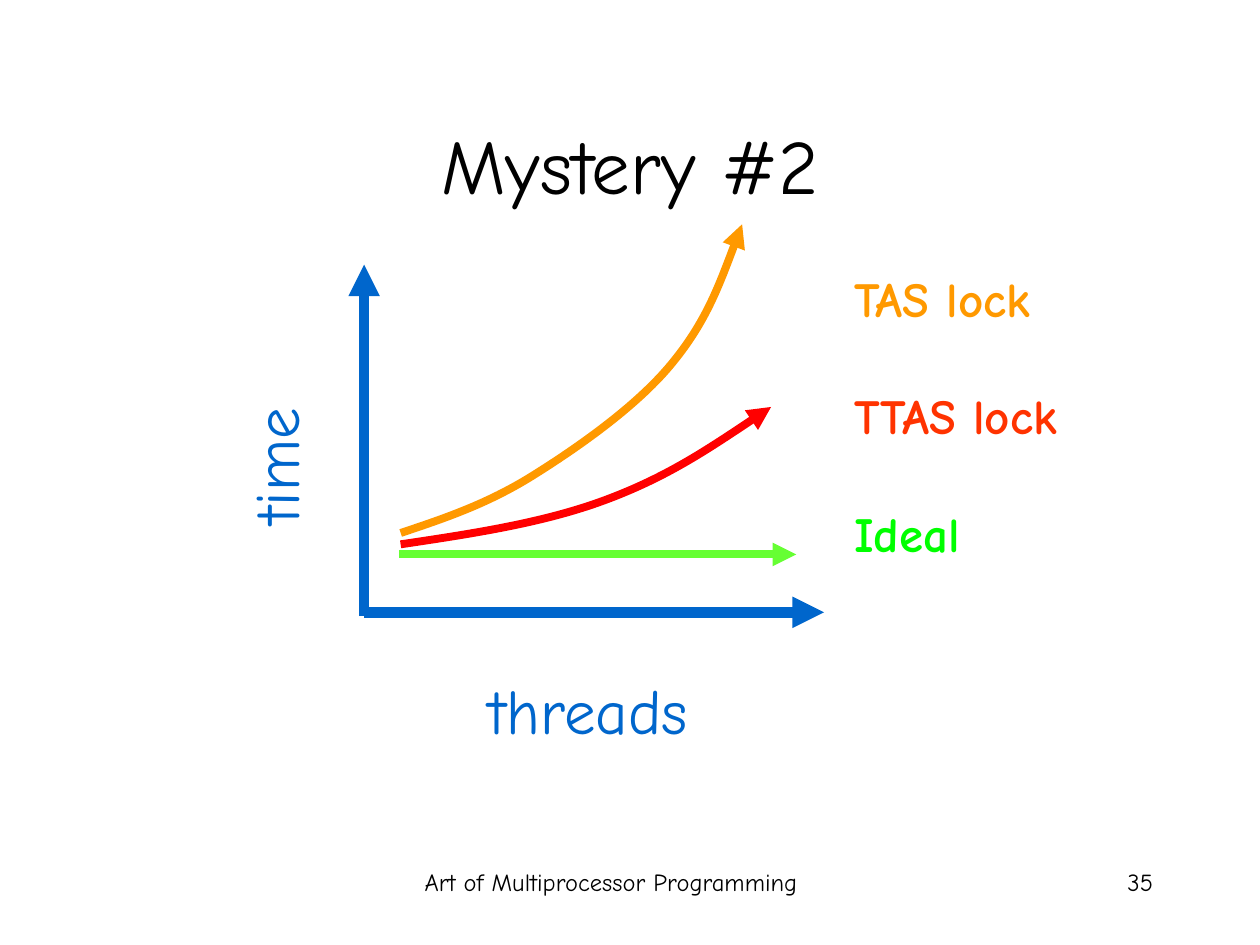
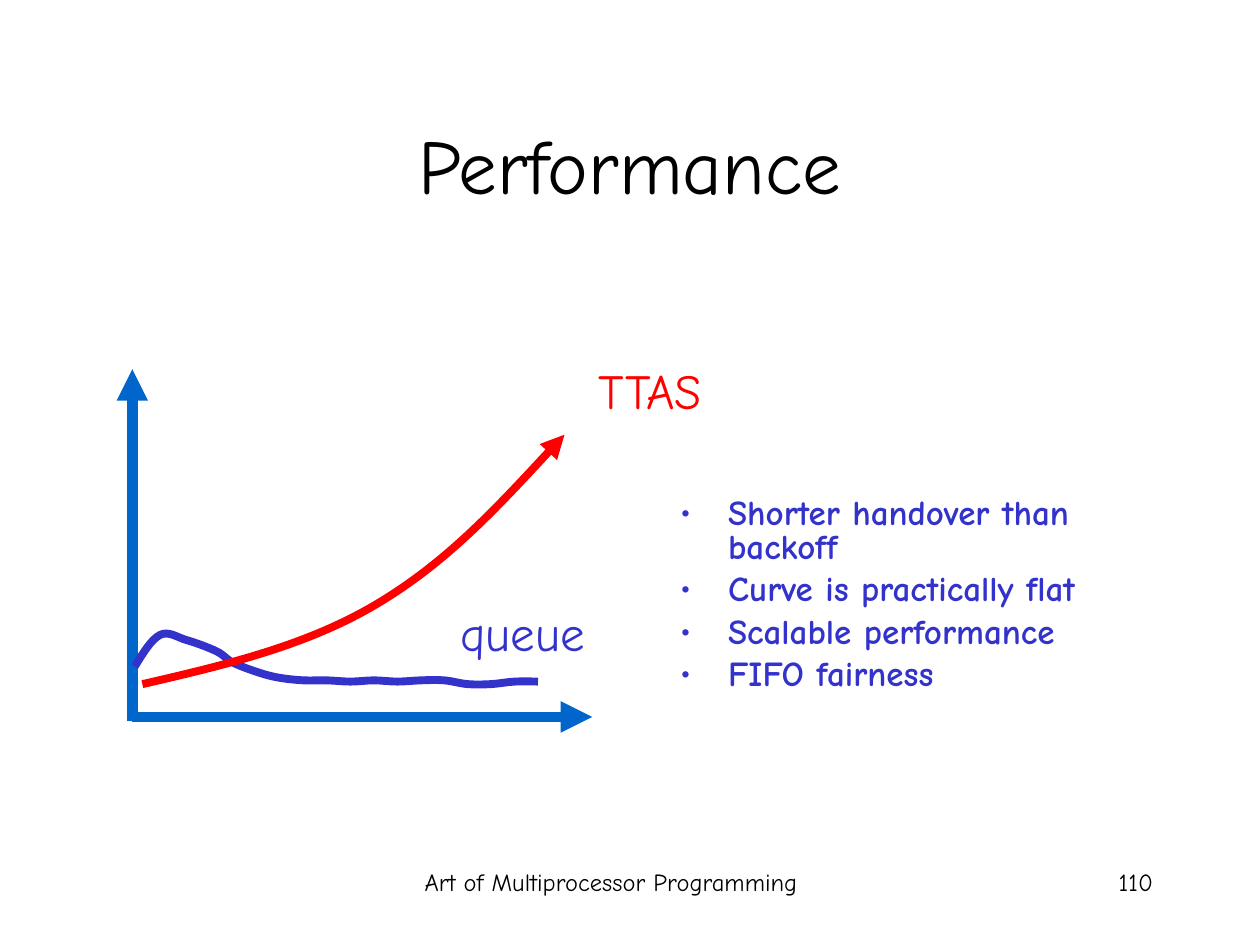
from pptx import Presentation
from pptx.dml.color import RGBColor
from pptx.enum.shapes import MSO_CONNECTOR
from pptx.enum.text import MSO_ANCHOR, PP_ALIGN
from pptx.oxml.ns import qn
from pptx.util import Inches, Pt
from lxml import etree

STRAIGHT = MSO_CONNECTOR.STRAIGHT
LEFT, CENTER, RIGHT = PP_ALIGN.LEFT, PP_ALIGN.CENTER, PP_ALIGN.RIGHT
TOP, MIDDLE = MSO_ANCHOR.TOP, MSO_ANCHOR.MIDDLE

BLACK = RGBColor(0x00, 0x00, 0x00)
AXIS_BLUE = RGBColor(0x00, 0x66, 0xCC)
INDIGO = RGBColor(0x33, 0x33, 0xCC)
ORANGE = RGBColor(0xFF, 0x99, 0x00)
RED = RGBColor(0xFF, 0x00, 0x00)
VERMILION = RGBColor(0xFF, 0x33, 0x00)
LIME = RGBColor(0x66, 0xFF, 0x33)
GREEN = RGBColor(0x00, 0xFF, 0x00)

FONT = "Comic Neue"
FOOTER = "Art of Multiprocessor Programming"
TITLE_SIZE, AXIS_LABEL_SIZE, LABEL_SIZE, BULLET_SIZE, FOOTER_SIZE = 44, 36, 28, 20, 14
AXIS_HEIGHT, AXIS_LENGTH, AXIS_OVERLAP = 2.76, 3.65, 0.03
AXIS_WEIGHT, CURVE_WEIGHT = 6, 4.5
LEGEND_GAP, BULLET_GAP = 33.6, 5
BULLET_INDENT = 0.38

TAS_KNOTS = [(3.18, 4.23), (4.22, 3.78), (5.32, 2.9), (5.89, 1.78)]
TTAS_KNOTS = [(3.18, 4.32), (4.8, 3.97), (6.12, 3.23)]
STEEP_TTAS_KNOTS = [(1.13, 5.43), (2.98, 4.8), (4.48, 3.45)]
QUEUE_HUMP = [
    (1.07, 5.29), (1.27, 5.04), (1.48, 5.08), (1.72, 5.17),
    (1.85, 5.26), (2.06, 5.34), (2.22, 5.38), (2.41, 5.4),
]
QUEUE_TAIL_END = 4.27
QUEUE_TAIL_HEIGHTS = [5.4, 5.41, 5.4, 5.41, 5.4, 5.4, 5.43, 5.43, 5.41, 5.41]

LEGEND = [("TAS lock", ORANGE), ("TTAS lock", VERMILION), ("Ideal", GREEN)]
BENEFITS = [
    "Shorter handover than backoff",
    "Curve is practically flat",
    "Scalable performance",
    "FIFO fairness",
]


def apply_format(target, values):
    for name, value in values.items():
        setattr(target, name, value)


def add_bullet(para, color):
    properties = para._p.get_or_add_pPr()
    indent = Inches(BULLET_INDENT)
    properties.set("marL", str(indent))
    properties.set("indent", str(-indent))
    bullet_color = etree.SubElement(properties, qn("a:buClr"))
    etree.SubElement(bullet_color, qn("a:srgbClr"), val=str(color))
    etree.SubElement(properties, qn("a:buFont"), typeface=FONT)
    etree.SubElement(properties, qn("a:buChar"), char="•")


def add_text(page, place, lines, size, bold=False, align=LEFT, anchor=TOP,
             wrap=True, gap=0, spacing=None, bullets=False):
    box = page.shapes.add_textbox(*map(Inches, place))
    frame = box.text_frame
    apply_format(frame, {"word_wrap": wrap, "vertical_anchor": anchor})
    for index, (text, color) in enumerate(lines):
        para = frame.add_paragraph() if index else frame.paragraphs[0]
        if bullets:
            add_bullet(para, color)
        apply_format(para, {
            "alignment": align,
            "line_spacing": spacing,
            "space_before": Pt(gap if index else 0),
        })
        span = para.add_run()
        span.text = text
        apply_format(span.font, {"name": FONT, "size": Pt(size), "bold": bold})
        span.font.color.rgb = color
    return box


def style_line(shape, color, weight, arrow):
    shape.line.color.rgb = color
    shape.line.width = Pt(weight)
    if arrow:
        outline = shape.element.spPr.find(qn("a:ln"))
        etree.SubElement(outline, qn("a:tailEnd"), type="triangle")


def add_arrow(page, start, end, color, weight):
    arrow = page.shapes.add_connector(STRAIGHT, *map(Inches, start + end))
    style_line(arrow, color, weight, True)
    etree.SubElement(arrow.element.spPr, qn("a:effectLst"))


def midpoint(first, second):
    return tuple((a + b) / 2 for a, b in zip(first, second))


def smooth_points(knots):
    handles = []
    for before, knot, after in zip(knots, knots[1:], knots[2:]):
        slope = [(b - a) / 6 for a, b in zip(before, after)]
        arriving = tuple(k - s for k, s in zip(knot, slope))
        leaving = tuple(k + s for k, s in zip(knot, slope))
        handles += [arriving, knot, leaving]
    first, last = knots[0], knots[-1]
    return [first, midpoint(first, handles[0]), *handles, midpoint(handles[-1], last), last]


def bend_segments(curve):
    outline = next(curve.element.iter(qn("a:path")))
    segments = outline.findall(qn("a:lnTo"))
    for first in range(0, len(segments), 3):
        bezier = etree.SubElement(outline, qn("a:cubicBezTo"))
        for segment in segments[first:first + 3]:
            bezier.append(segment[0])
            outline.remove(segment)


def add_curve(page, knots, color, arrow=True):
    points = [(Inches(x), Inches(y)) for x, y in smooth_points(knots)]
    builder = page.shapes.build_freeform(*points[0], scale=1.0)
    builder.add_line_segments(points[1:], close=False)
    curve = builder.convert_to_shape()
    bend_segments(curve)
    curve.shadow.inherit = False
    curve.fill.background()
    style_line(curve, color, CURVE_WEIGHT, arrow)


def queue_knots():
    tail_start = QUEUE_HUMP[-1][0]
    step = (QUEUE_TAIL_END - tail_start) / len(QUEUE_TAIL_HEIGHTS)
    tail = [(tail_start + step * index, height)
            for index, height in enumerate(QUEUE_TAIL_HEIGHTS, start=1)]
    return QUEUE_HUMP + tail


def add_axes(page, x, y):
    add_arrow(page, (x, y + AXIS_OVERLAP), (x, y - AXIS_HEIGHT), AXIS_BLUE, AXIS_WEIGHT)
    add_arrow(page, (x, y), (x + AXIS_LENGTH, y), AXIS_BLUE, AXIS_WEIGHT)


def add_axis_label(page, text, center_x, center_y, rotation=0):
    width, height = 2, 0.8
    place = (center_x - width / 2, center_y - height / 2, width, height)
    label = add_text(page, place, [(text, AXIS_BLUE)], AXIS_LABEL_SIZE,
                     align=CENTER, anchor=MIDDLE)
    label.rotation = rotation


def add_curve_label(page, text, color, place):
    add_text(page, place, [(text, color)], LABEL_SIZE, align=RIGHT, wrap=False)


def add_page(deck, title, number):
    page = deck.slides.add_slide(deck.slide_layouts[6])
    add_text(page, (2.89, 6.83, 3.92, 0.5), [(FOOTER, BLACK)], FOOTER_SIZE, align=CENTER)
    add_text(page, (7.17, 6.83, 2.08, 0.5), [(number, BLACK)], FOOTER_SIZE, align=RIGHT)
    add_text(page, (0.75, 0.67, 8.5, 1.25), [(title, BLACK)], TITLE_SIZE,
             align=CENTER, anchor=MIDDLE)
    return page


def add_mystery_page(deck):
    page = add_page(deck, "Mystery #2", "35")
    add_axes(page, 2.89, 4.86)
    add_text(page, (6.68, 2.08, 1.83, 2.9), LEGEND, LABEL_SIZE,
             bold=True, wrap=False, gap=LEGEND_GAP)
    add_axis_label(page, "time", 2.18, 3.7, rotation=270)
    add_axis_label(page, "threads", 4.67, 5.63)
    add_arrow(page, (3.17, 4.4), (6.32, 4.4), LIME, CURVE_WEIGHT)
    add_curve(page, TAS_KNOTS, ORANGE)
    add_curve(page, TTAS_KNOTS, RED)


def add_performance_page(deck):
    page = add_page(deck, "Performance", "110")
    add_text(page, (5.3, 3.91, 4.21, 1.8), [(text, INDIGO) for text in BENEFITS],
             BULLET_SIZE, bold=True, gap=BULLET_GAP, spacing=0.8, bullets=True)
    add_axes(page, 1.05, 5.69)
    add_curve(page, queue_knots(), INDIGO, arrow=False)
    add_curve_label(page, "queue", INDIGO, (3.55, 4.73, 1.19, 0.57))
    add_curve_label(page, "TTAS", RED, (4.63, 2.81, 1.04, 0.57))
    add_curve(page, STEEP_TTAS_KNOTS, RED)


def main():
    deck = Presentation()
    apply_format(deck, {"slide_width": Inches(10), "slide_height": Inches(7.5)})
    add_mystery_page(deck)
    add_performance_page(deck)
    deck.save("out.pptx")


if __name__ == "__main__":
    main()
